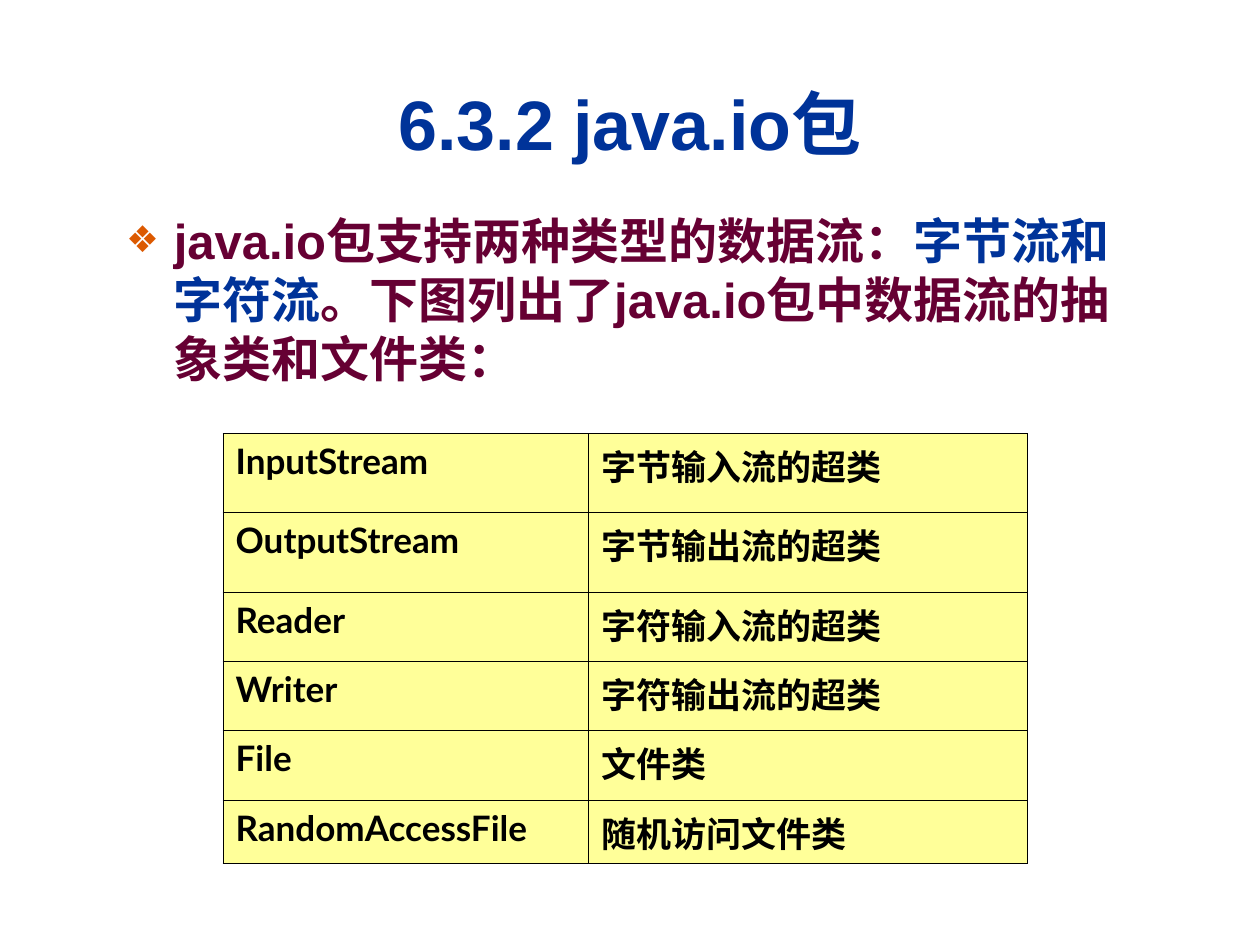
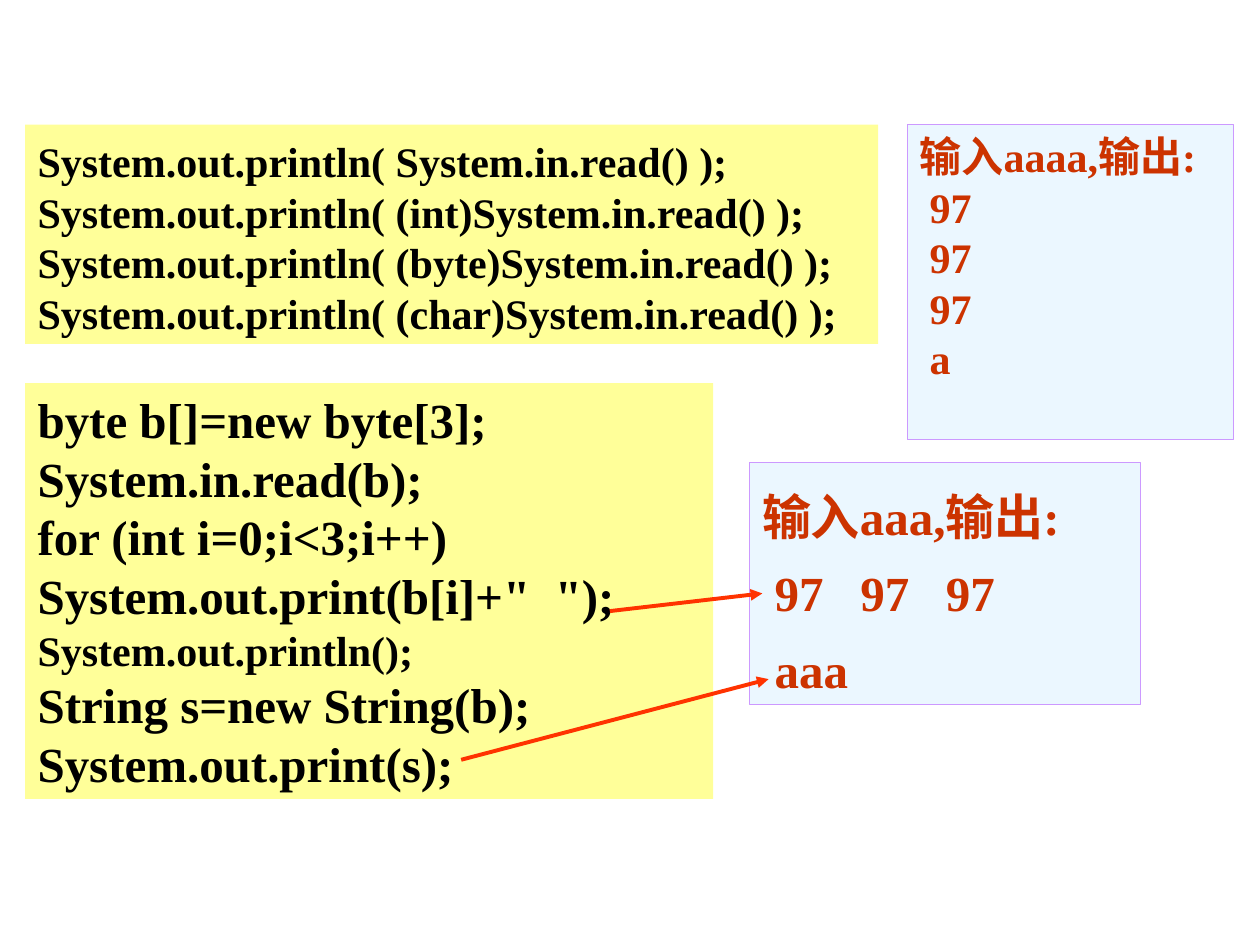
import pptx
import pptx.dml.color
import pptx.enum.shapes
import pptx.enum.text
import pptx.oxml
import pptx.oxml.ns
import pptx.util
from lxml import etree

Inches = pptx.util.Inches
Pt = pptx.util.Pt

COLORS = {
    "title": "003399", "body": "660033", "bullet": "DC5900", "black": "000000",
    "yellow": "FFFF99", "pale_blue": "EBF7FF", "violet": "CC99FF",
    "output": "CC3300", "arrow": "FF3300",
}
SANS, TABLE_FONT, SERIF = "Arial", "Lato", "Times New Roman"

# Content of the package slide
TITLE = "6.3.2 java.io包"
INTRODUCTION = [
    ("java.io包支持两种类型的数据流：", "body"),
    ("字节流和字符流", "title"),
    ("。下图列出了java.io包中数据流的抽象类和文件类：", "body"),
]
CLASSES = [
    ("InputStream", "字节输入流的超类", 0.63),
    ("OutputStream", "字节输出流的超类", 0.63),
    ("Reader", "字符输入流的超类", 0.55),
    ("Writer", "字符输出流的超类", 0.55),
    ("File", "文件类", 0.55),
    ("RandomAccessFile", "随机访问文件类", 0.44),
]
COLUMN_WIDTHS = (2.9, 3.48)

# Content of the reading slide: each line is text plus any format of its own
CODE = {"fill": "yellow", "line": None, "color": "black"}
OUTPUT = {"fill": "pale_blue", "line": "violet", "color": "output"}
PANELS = [
    (CODE, (0.2, 3.04, 5.46, 3.3), 28, [
        ("byte b[]=new byte[3];", {}),
        ("System.in.read(b);", {}),
        ("for (int i=0;i<3;i++)", {}),
        ('System.out.print(b[i]+"  ");', {}),
        ("System.out.println();", {"size": 24}),
        ("String s=new String(b);", {}),
        ("System.out.print(s);", {}),
    ]),
    (CODE, (0.2, 0.99, 6.77, 1.74), 24, [
        ("System.out.println( System.in.read() );", {"line_spacing": 1.1}),
        ("System.out.println( (int)System.in.read() );", {}),
        ("System.out.println( (byte)System.in.read() );", {}),
        ("System.out.println( (char)System.in.read() );", {}),
    ]),
    (OUTPUT, (7.2, 0.99, 2.59, 2.5), 24, [
        ("输入aaaa,输出:", {}),
        *[(value, {"indent": 0.08}) for value in ("97", "97", "97", "a")],
    ]),
    (OUTPUT, (5.95, 3.67, 3.1, 1.92), 28, [
        ("输入aaa,输出:", {"line_spacing": 1.3}),
        ("\t97\t97\t97", {"line_spacing": 1.3, "tabs": (0.1, 0.78, 1.46)}),
        ("aaa", {"line_spacing": 1.3, "indent": 0.1}),
    ]),
]
ARROWS = [((4.84, 4.85), (6.05, 4.71)), ((3.66, 6.03), (6.1, 5.39))]


def rgb(name):
    return pptx.dml.color.RGBColor.from_string(COLORS[name])


def add_xml(parent, tag, **attributes):
    return etree.SubElement(parent, pptx.oxml.ns.qn(tag), attributes)


def write(paragraph, text, size=28, color="black", font=SANS,
          line_spacing=None, indent=0, tabs=()):
    """Append one formatted run to a paragraph."""
    properties = paragraph._p.get_or_add_pPr()
    if indent:
        properties.set("marL", str(Inches(indent)))
    if tabs:
        tab_list = add_xml(properties, "a:tabLst")
        for position in tabs:
            add_xml(tab_list, "a:tab", pos=str(Inches(position)), algn="l")
    if line_spacing:
        paragraph.line_spacing = line_spacing
    run = paragraph.add_run()
    run.text = text
    run.font.size = Pt(size)
    run.font.name = font
    run.font.bold = True
    run.font.color.rgb = rgb(color)


def place(shape, left, top, width, height):
    shape.left, shape.top = Inches(left), Inches(top)
    shape.width, shape.height = Inches(width), Inches(height)


def add_bullet(paragraph):
    properties = paragraph._p.get_or_add_pPr()
    properties.set("marL", str(Inches(0.38)))
    properties.set("indent", str(-Inches(0.38)))
    bullet_color = add_xml(properties, "a:buClr")
    add_xml(bullet_color, "a:srgbClr", val=COLORS["bullet"])
    add_xml(properties, "a:buSzPct", val="75000")
    add_xml(properties, "a:buChar", char="❖")


def add_borders(cell):
    properties = cell._tc.get_or_add_tcPr()
    for side in ("a:lnL", "a:lnR", "a:lnT", "a:lnB"):
        border = add_xml(properties, side, w=str(Pt(0.45)))
        fill = add_xml(border, "a:solidFill")
        add_xml(fill, "a:srgbClr", val=COLORS["black"])


def add_class_table(slide):
    table = slide.shapes.add_table(
        len(CLASSES), len(COLUMN_WIDTHS), Inches(1.77), Inches(3.44),
        Inches(sum(COLUMN_WIDTHS)), Inches(sum(row[-1] for row in CLASSES))).table
    table.first_row = table.horz_banding = False
    for column, width in zip(table.columns, COLUMN_WIDTHS):
        column.width = Inches(width)
    for row, (*texts, height) in zip(table.rows, CLASSES):
        row.height = Inches(height)
        for cell, text in zip(row.cells, texts):
            add_borders(cell)
            cell.fill.solid()
            cell.fill.fore_color.rgb = rgb("yellow")
            write(cell.text_frame.paragraphs[0], text, size=20, font=TABLE_FONT)


def add_panel(slide, style, box, size, lines):
    panel = slide.shapes.add_shape(
        pptx.enum.shapes.MSO_SHAPE.RECTANGLE, *map(Inches, box))
    panel.shadow.inherit = False
    panel.fill.solid()
    panel.fill.fore_color.rgb = rgb(style["fill"])
    if style["line"]:
        panel.line.color.rgb = rgb(style["line"])
        panel.line.width = Pt(0.75)
    else:
        panel.line.fill.background()
    frame = panel.text_frame
    frame.word_wrap = True
    frame.auto_size = pptx.enum.text.MSO_AUTO_SIZE.SHAPE_TO_FIT_TEXT
    frame.vertical_anchor = pptx.enum.text.MSO_ANCHOR.TOP
    for index, (text, options) in enumerate(lines):
        paragraph = frame.add_paragraph() if index else frame.paragraphs[0]
        paragraph.alignment = pptx.enum.text.PP_ALIGN.LEFT
        write(paragraph, text, **{"size": size, "color": style["color"],
                                  "font": SERIF, **options})


def add_arrow(slide, start, end):
    arrow = slide.shapes.add_connector(
        pptx.enum.shapes.MSO_CONNECTOR.STRAIGHT, *map(Inches, start + end))
    arrow.line.color.rgb = rgb("arrow")
    arrow.line.width = Pt(2.25)
    add_xml(arrow.line._get_or_add_ln(), "a:tailEnd", type="triangle")
    add_xml(arrow._element.spPr, "a:effectLst")


def build_package_slide(presentation):
    slide = presentation.slides.add_slide(presentation.slide_layouts[1])
    # Title
    title = slide.shapes.title
    place(title, 0.33, 0.57, 9.34, 0.81)
    title.text_frame.auto_size = pptx.enum.text.MSO_AUTO_SIZE.NONE
    title.text_frame.vertical_anchor = pptx.enum.text.MSO_ANCHOR.MIDDLE
    paragraph = title.text_frame.paragraphs[0]
    paragraph.alignment = pptx.enum.text.PP_ALIGN.CENTER
    write(paragraph, TITLE, size=40, color="title")
    # Introduction
    body = slide.placeholders[1]
    place(body, 0.9, 1.62, 8.31, 4.59)
    body.text_frame.auto_size = pptx.enum.text.MSO_AUTO_SIZE.NONE
    paragraph = body.text_frame.paragraphs[0]
    add_bullet(paragraph)
    paragraph.space_before = Pt(0)
    for text, color in INTRODUCTION:
        write(paragraph, text, color=color)
    add_class_table(slide)


def build_reading_slide(presentation):
    slide = presentation.slides.add_slide(presentation.slide_layouts[6])
    for panel in PANELS:
        add_panel(slide, *panel)
    for start, end in ARROWS:
        add_arrow(slide, start, end)


def main():
    presentation = pptx.Presentation()
    presentation.slide_width = Inches(10)
    presentation.slide_height = Inches(7.5)
    build_package_slide(presentation)
    build_reading_slide(presentation)
    presentation.save("out.pptx")


if __name__ == "__main__":
    main()
